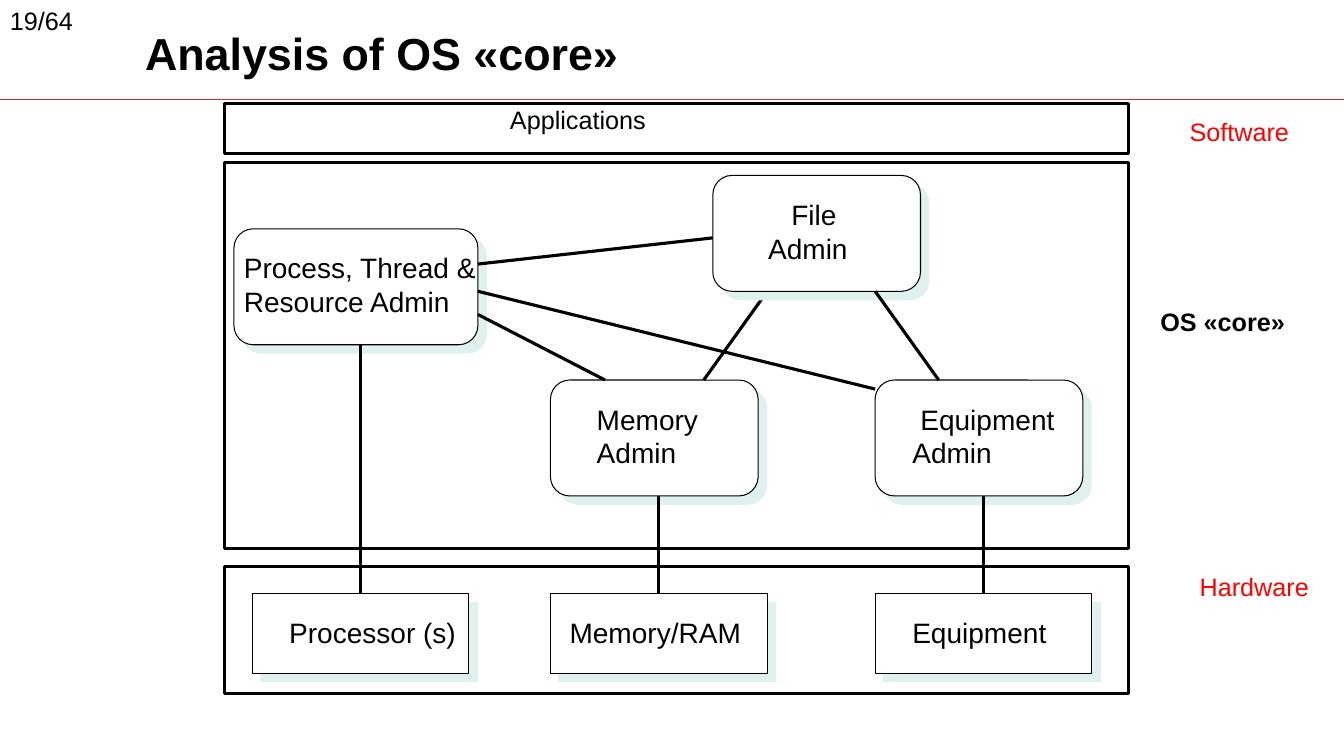
from dataclasses import dataclass

from pptx import Presentation
from pptx.dml.color import RGBColor
from pptx.enum.shapes import MSO_CONNECTOR, MSO_SHAPE
from pptx.enum.text import MSO_ANCHOR, MSO_AUTO_SIZE
from pptx.oxml.ns import qn
from pptx.oxml.xmlchemy import OxmlElement
from pptx.util import Inches, Pt


@dataclass(frozen=True)
class Theme:
    font: str = "Arial"
    black: str = "000000"
    white: str = "FFFFFF"
    red: str = "FF0000"
    rule: str = "CC2F3A"
    shadow: str = "DEF1EF"
    title_size: int = 32
    node_size: int = 20
    label_size: int = 18
    thin: float = 0.75
    thick: float = 2.25


THEME = Theme()
NODE_TEXT_DROP = 0.17
LINE_HEIGHT = 0.33


def set_line(item, width, color=THEME.black):
    item.line.color.rgb = RGBColor.from_string(color)
    item.line.width = Pt(width)


def add_label(slide, left, top, width, height, lines, size=THEME.label_size,
              color=THEME.black, bold=False, wrap=False, first_indent=0):
    label = slide.shapes.add_textbox(*map(Inches, (left, top, width, height)))
    frame = label.text_frame
    frame.word_wrap = wrap
    frame.auto_size = MSO_AUTO_SIZE.NONE if wrap else MSO_AUTO_SIZE.SHAPE_TO_FIT_TEXT
    for index, line in enumerate(lines):
        paragraph = frame.paragraphs[0] if index == 0 else frame.add_paragraph()
        run = paragraph.add_run()
        run.text = line
        run.font.name = THEME.font
        run.font.size = Pt(size)
        run.font.bold = bold
        run.font.color.rgb = RGBColor.from_string(color)
    if first_indent:
        frame.paragraphs[0]._p.get_or_add_pPr().set("marL", str(Inches(first_indent)))
    return label


def add_hard_shadow(shape):
    shape.shadow.inherit = False
    shadow = OxmlElement("a:outerShdw")
    for key, value in (("blurRad", 0), ("dist", Pt(8.5)), ("dir", 45 * 60000),
                       ("algn", "ctr"), ("rotWithShape", 0)):
        shadow.set(key, str(value))
    color = OxmlElement("a:srgbClr")
    color.set("val", THEME.shadow)
    shadow.append(color)
    shape._element.spPr.find(qn("a:effectLst")).append(shadow)


def add_node(slide, kind, left, top, width, height, lines, text_shift, text_width,
             first_indent=0):
    node = slide.shapes.add_shape(kind, *map(Inches, (left, top, width, height)))
    node.fill.solid()
    node.fill.fore_color.rgb = RGBColor.from_string(THEME.white)
    set_line(node, THEME.thin)
    add_hard_shadow(node)
    add_label(slide, left + text_shift, top + NODE_TEXT_DROP, text_width,
              0.11 + LINE_HEIGHT * len(lines), lines, THEME.node_size,
              first_indent=first_indent)
    return node


def add_device(slide, left, name, text_shift, text_width):
    return add_node(slide, MSO_SHAPE.RECTANGLE, left, 5.89, 2.15, 0.79,
                    [name], text_shift, text_width)


def add_admin(slide, left, top, lines, text_shift, text_width, width=2.06, first_indent=0):
    return add_node(slide, MSO_SHAPE.ROUNDED_RECTANGLE, left, top, width, 1.15,
                    lines, text_shift, text_width, first_indent)


def add_link(slide, start, end, width=THEME.thick, color=THEME.black):
    link = slide.shapes.add_connector(MSO_CONNECTOR.STRAIGHT,
                                      *map(Inches, (*start, *end)))
    set_line(link, width, color)
    link._element.spPr.append(OxmlElement("a:effectLst"))
    return link


def add_layer_frame(slide, top, height):
    frame = slide.shapes.add_shape(MSO_SHAPE.RECTANGLE,
                                   *map(Inches, (2.23, top, 8.96, height)))
    frame.shadow.inherit = False
    frame.fill.background()
    set_line(frame, THEME.thick)


def main():
    deck = Presentation()
    deck.slide_width, deck.slide_height = Inches(13.33), Inches(7.5)
    slide = deck.slides.add_slide(deck.slide_layouts[6])

    # Heading
    add_link(slide, (0, 0.99), (13.33, 0.99), 1, THEME.rule)
    title = add_label(slide, 1.34, 0.21, 11.24, 0.69, ["Analysis of OS «core»"],
                      THEME.title_size, bold=True, wrap=True)
    title.text_frame.vertical_anchor = MSO_ANCHOR.MIDDLE
    title.text_frame.paragraphs[0].line_spacing = 0.9

    # Hardware devices
    processor_left, memory_left, equipment_left = 2.5, 5.46, 8.68
    devices = [
        add_device(slide, processor_left, "Processor (s)", 0.27, 1.87),
        add_device(slide, memory_left, "Memory/RAM", 0.09, 1.91),
        add_device(slide, equipment_left, "Equipment", 0.27, 1.54),
    ]

    # Core administrators, each linked to its device
    add_admin(slide, 2.32, 2.27, ["Process, Thread &", "Resource Admin"], 0, 2.52, width=2.42)
    add_admin(slide, memory_left, 3.77, ["Memory", "Admin"], 0.36, 1.21)
    add_admin(slide, equipment_left, 3.77, ["Equipment", "Admin"], 0.27, 1.62,
              first_indent=0.08)
    device_lefts = (processor_left, memory_left, equipment_left)
    for device, left, admin_bottom in zip(devices, device_lefts, (3.42, 4.92, 4.92)):
        center = left + 2.15 / 2
        device_link = add_link(slide, (center, admin_bottom), (center, 5.89))
        device_link.end_connect(device, 0)

    # Links between administrators; the file box covers the end of one
    for start, end in (((4.74, 2.62), (7.07, 2.36)), ((4.74, 2.89), (8.68, 3.86)),
                       ((4.74, 3.12), (6, 3.77)), ((7.61, 2.89), (6.98, 3.77))):
        add_link(slide, start, end)
    add_admin(slide, 7.07, 1.74, ["File", "Admin"], 0.45, 1, first_indent=0.23)
    add_link(slide, (8.68, 2.89), (9.31, 3.77))

    # Layer frames and their labels
    for top, height in ((5.62, 1.26), (1.61, 3.83), (1.03, 0.49)):
        add_layer_frame(slide, top, height)
    add_label(slide, 11.8, 5.62, 1.3, 0.4, ["Hardware"], color=THEME.red)
    add_label(slide, 11.7, 1.11, 1.2, 0.4, ["Software"], color=THEME.red)
    add_label(slide, 4.96, 0.99, 1.63, 0.4, ["Applications"])
    add_label(slide, 11.41, 2.99, 1.9, 0.41, ["OS «core»"], bold=True, wrap=True)

    # Page number
    add_label(slide, 0, 0, 1.38, 0.5, ["19/64"], wrap=True)

    deck.save("out.pptx")


if __name__ == "__main__":
    main()
